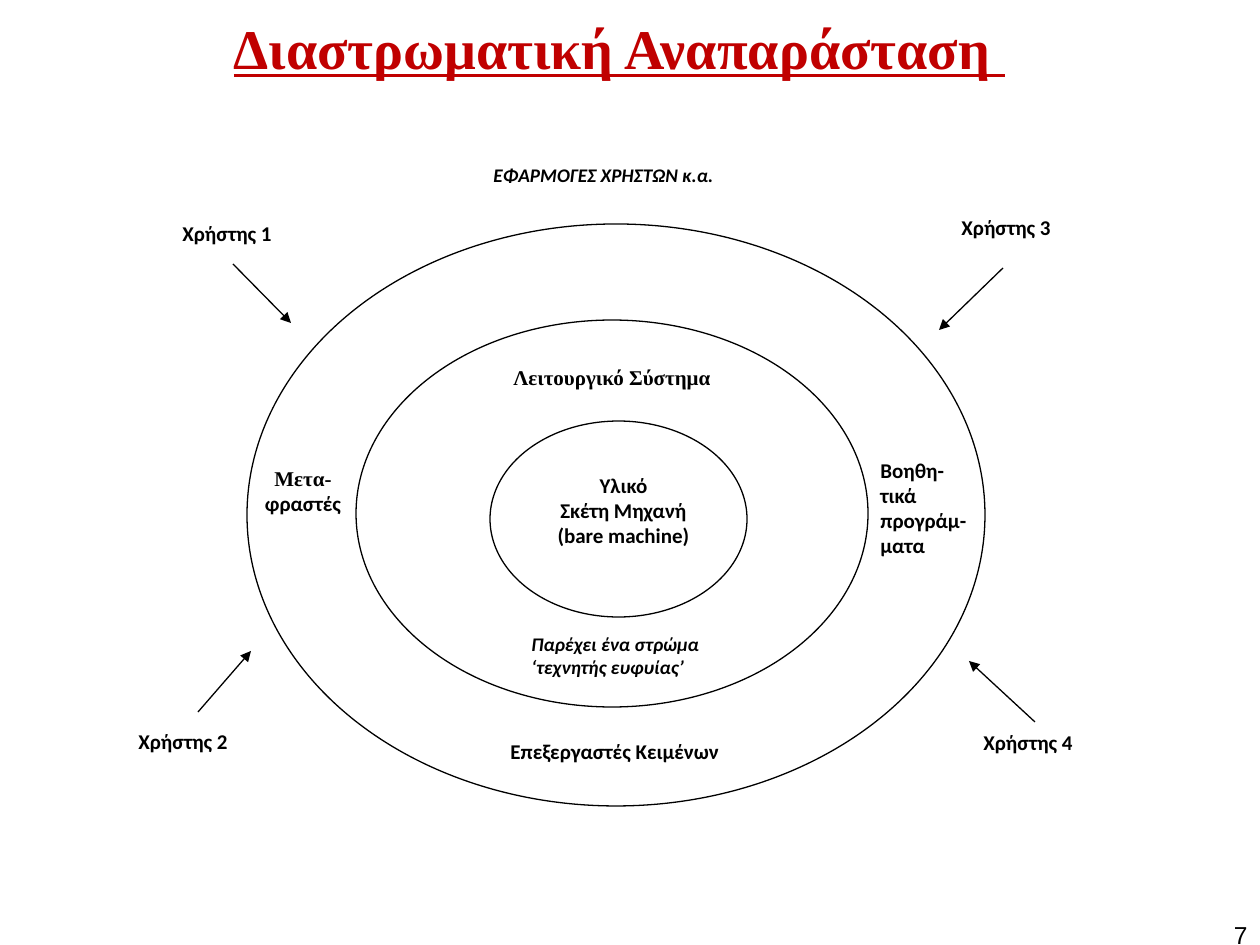
from dataclasses import dataclass

from lxml import etree
from pptx import Presentation
from pptx.dml.color import RGBColor
from pptx.enum.shapes import MSO_CONNECTOR, MSO_SHAPE
from pptx.enum.text import MSO_ANCHOR, PP_ALIGN
from pptx.oxml.ns import qn
from pptx.util import Pt

LEFT, MID, RIGHT = PP_ALIGN.LEFT, PP_ALIGN.CENTER, PP_ALIGN.RIGHT
OVAL, LINE = MSO_SHAPE.OVAL, MSO_CONNECTOR.STRAIGHT
SCALE = 914400 / 126


@dataclass
class Theme:
    ink: RGBColor = RGBColor(0, 0, 0)
    paper: RGBColor = RGBColor(255, 255, 255)
    red: RGBColor = RGBColor(0xC0, 0, 0)
    sans: str = "Calibri"
    serif: str = "Times New Roman"
    plain: str = "Arial"
    head: int = 32
    page: int = 14
    body: int = 12
    note: int = 11
    rule: float = 0.75


theme = Theme()


def emu(*vals):
    return [round(v * SCALE) for v in vals]


def label(box, lines, align=LEFT, size=theme.body, face=theme.sans,
          bold=True, italic=False):
    frame = slide.shapes.add_textbox(*emu(*box)).text_frame
    frame.word_wrap = True
    frame.text = "\n".join(lines)
    for para in frame.paragraphs:
        para.alignment = align
        font = para.font
        font.name, font.size = face, Pt(size)
        font.bold, font.italic = bold, italic
        font.color.rgb = theme.ink
    return frame


deck = Presentation()
deck.slide_width, deck.slide_height = emu(1260, 945)
slide = deck.slides.add_slide(deck.slide_layouts[5])

# Title
title = slide.shapes.title
title.left, title.top, title.width, title.height = emu(84, 0, 1071, 94)
frame = title.text_frame
frame.text = "Διαστρωματική Αναπαράσταση "
frame.vertical_anchor = MSO_ANCHOR.MIDDLE
para = frame.paragraphs[0]
para.alignment = MID
font = para.font
font.name, font.size = theme.serif, Pt(theme.head)
font.bold = font.underline = True
font.color.rgb = theme.red

# Page number
label((998, 914, 262, 63), ["7"], RIGHT, theme.page, theme.plain, bold=False)

# Layers, from outer to inner
for box in [(247, 224, 738, 582), (356, 320, 512, 387), (490, 421, 257, 196)]:
    ring = slide.shapes.add_shape(OVAL, *emu(*box))
    ring.shadow.inherit = False
    ring.fill.solid()
    ring.fill.fore_color.rgb = theme.paper
    ring.line.color.rgb = theme.ink
    ring.line.width = Pt(theme.rule)

# Layer names
label((519, 626, 334, 91), ["Παρέχει ένα στρώμα", "‘τεχνητής ευφυίας’"],
      size=theme.note, italic=True)
label((498, 732, 286, 77), ["Επεξεργαστές Κειμένων"])
label((481, 157, 296, 48), ["ΕΦΑΡΜΟΓΕΣ ΧΡΗΣΤΩΝ κ.α."],
      size=theme.note, italic=True)
label((525, 466, 197, 107), ["Υλικό", "Σκέτη Μηχανή", "(bare machine)"], MID)
label((501, 358, 302, 60), ["Λειτουργικό Σύστημα"], face=theme.serif)
meta = label((243, 459, 120, 118), ["Μετα-", "φραστές"], MID)
meta.paragraphs[0].font.name = theme.serif
label((868, 451, 139, 151), ["Βοηθη-", "τικά", "προγράμ-", "ματα"])

# Users, each with an arrow towards the outer layer
users = [
    ((170, 214, 141, 67), (233, 264, 291, 323)),
    ((126, 722, 165, 97), (198, 712, 251, 651)),
    ((949, 208, 214, 98), (1003, 268, 939, 330)),
    ((971, 723, 175, 83), (1035, 722, 969, 661)),
]
for num, (box, ends) in enumerate(users, 1):
    label(box, [f"Χρήστης {num}"])
    arrow = slide.shapes.add_connector(LINE, *emu(*ends))
    arrow.line.color.rgb = theme.ink
    arrow.line.width = Pt(theme.rule)
    tip = etree.SubElement(arrow.line._get_or_add_ln(), qn("a:tailEnd"))
    tip.set("type", "triangle")
    etree.SubElement(arrow._element.spPr, qn("a:effectLst"))

deck.save("out.pptx")
